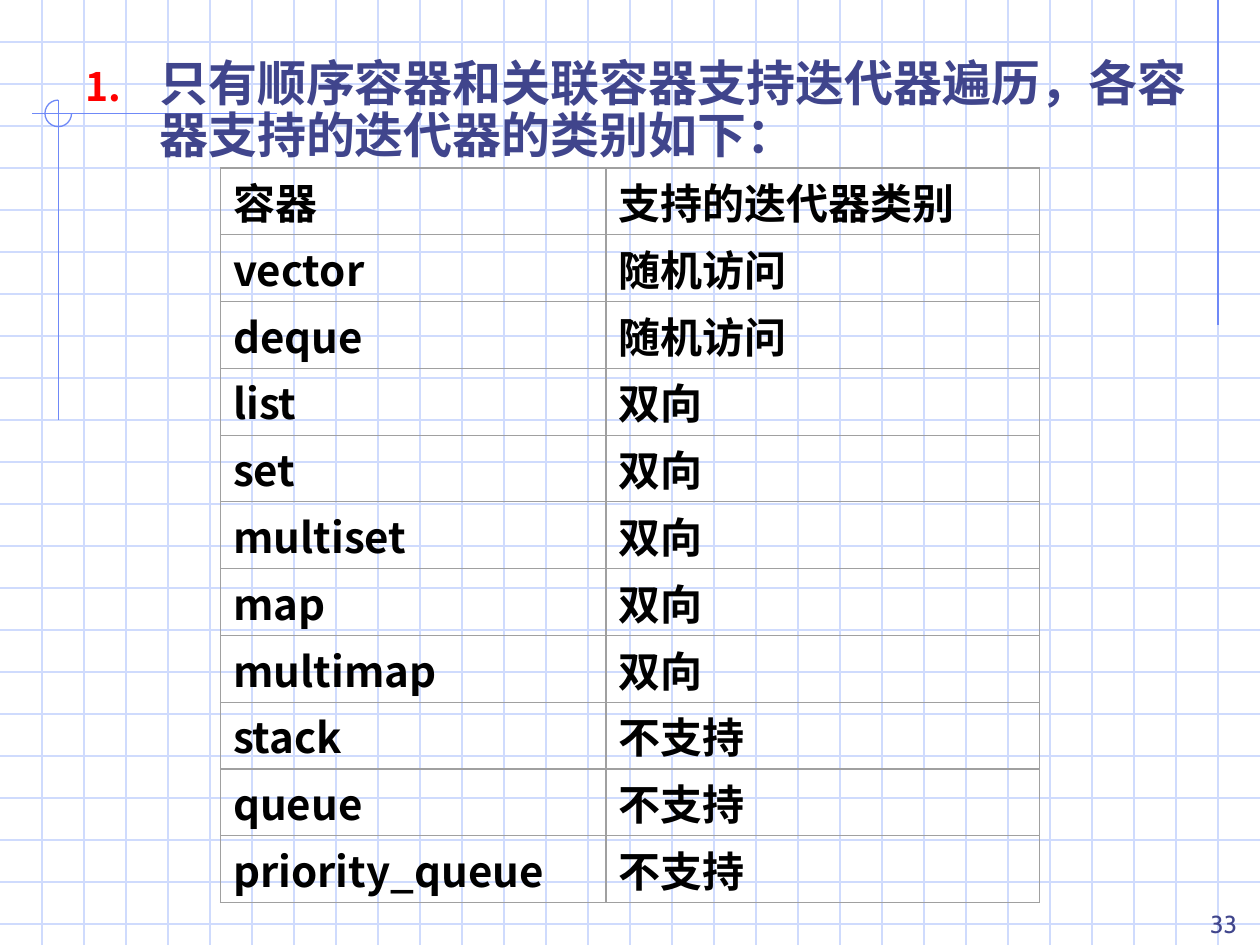
from lxml import etree
from pptx import Presentation
from pptx.dml.color import RGBColor
from pptx.enum.shapes import MSO_CONNECTOR, MSO_SHAPE
from pptx.enum.text import MSO_ANCHOR, MSO_AUTO_SIZE, PP_ALIGN
from pptx.oxml.ns import qn
from pptx.util import Pt

STRAIGHT = MSO_CONNECTOR.STRAIGHT
ARC = MSO_SHAPE.ARC
MIDDLE, BOTTOM = MSO_ANCHOR.MIDDLE, MSO_ANCHOR.BOTTOM
RIGHT, JUSTIFY = PP_ALIGN.RIGHT, PP_ALIGN.JUSTIFY
NO_FIT = MSO_AUTO_SIZE.NONE

WIDTH, HEIGHT, STEP = 720, 540, 24
ROWS = [
    ("容器", "支持的迭代器类别"),
    ("vector", "随机访问"),
    ("deque", "随机访问"),
    ("list", "双向"),
    ("set", "双向"),
    ("multiset", "双向"),
    ("map", "双向"),
    ("multimap", "双向"),
    ("stack", "不支持"),
    ("queue", "不支持"),
    ("priority_queue", "不支持"),
]


def rgb(value):
    return RGBColor.from_string(value)


def child(parent, tag, **attrs):
    return etree.SubElement(parent, qn(tag), attrs)


class Deck:
    font = "Noto Sans CJK SC"
    number_font = "Cabin"
    ink = "40458C"
    black = "000000"
    red = "FF0000"
    grid = "CFDBFD"
    accent = "6F89F7"
    border = "A0A0A0"
    thin = 0.75

    def __init__(self, slide):
        self.s = slide

    def run(self, p, text, size, color, font, bold=True):
        r = p.add_run()
        r.text = text
        r.font.size = Pt(size)
        r.font.bold = bold
        r.font.name = font
        r.font.color.rgb = rgb(color)
        child(r.font._element, "a:ea", typeface=font)

    def line(self, x1, y1, x2, y2, color):
        cx = self.s.shapes.add_connector(STRAIGHT, Pt(x1), Pt(y1), Pt(x2), Pt(y2))
        cx.line.color.rgb = rgb(color)
        cx.line.width = Pt(self.thin)
        child(cx._element.spPr, "a:effectLst")

    def arc(self, x, y, size, start, end):
        sp = self.s.shapes.add_shape(ARC, Pt(x), Pt(y), Pt(size), Pt(size))
        sp.shadow.inherit = False
        sp.fill.background()
        sp.line.color.rgb = rgb(self.accent)
        sp.line.width = Pt(self.thin)
        sp.adjustments[0] = start * 0.6
        sp.adjustments[1] = end * 0.6

    def numbered_body(self, x, y, w, h, text):
        sp = self.s.placeholders[1]
        self.s.shapes._spTree.append(sp._element)
        sp.left, sp.top, sp.width, sp.height = Pt(x), Pt(y), Pt(w), Pt(h)
        tf = sp.text_frame
        tf.auto_size = NO_FIT
        p = tf.paragraphs[0]
        p.line_spacing = Pt(30)
        p.space_before = Pt(7)
        pPr = p._p.get_or_add_pPr()
        pPr.set("marL", str(Pt(42)))
        pPr.set("indent", str(Pt(-42)))
        child(child(pPr, "a:buClr"), "a:srgbClr", val=self.red)
        child(pPr, "a:buSzPct", val="80000")
        child(pPr, "a:buFontTx")
        child(pPr, "a:buAutoNum", type="arabicPeriod")
        self.run(p, text, 28, self.ink, self.font)

    def cell(self, cell, text):
        cell.margin_top = cell.margin_bottom = 0
        cell.vertical_anchor = MIDDLE
        tcPr = cell._tc.get_or_add_tcPr()
        for side in ("a:lnL", "a:lnR", "a:lnT", "a:lnB"):
            ln = child(tcPr, side, w=str(Pt(self.thin)))
            child(child(ln, "a:solidFill"), "a:srgbClr", val=self.border)
        cell.fill.background()
        p = cell.text_frame.paragraphs[0]
        p.alignment = JUSTIFY
        self.run(p, text, 24, self.black, self.font)

    def table(self, x, y, widths, h, rows):
        frame = self.s.shapes.add_table(
            len(rows), len(widths), Pt(x), Pt(y), Pt(sum(widths)), Pt(h))
        table = frame.table
        table.first_row = table.horz_banding = False
        for column, width in zip(table.columns, widths):
            column.width = Pt(width)
        for row, texts in zip(table.rows, rows):
            row.height = Pt(h / len(rows))
            for cell, text in zip(row.cells, texts):
                self.cell(cell, text)

    def slide_number(self, x, y, w, h, text):
        tf = self.s.shapes.add_textbox(Pt(x), Pt(y), Pt(w), Pt(h)).text_frame
        tf.word_wrap = True
        tf.vertical_anchor = BOTTOM
        p = tf.paragraphs[0]
        p.alignment = RIGHT
        self.run(p, text, 14, self.ink, self.number_font, bold=False)


def main():
    prs = Presentation()
    prs.slide_width, prs.slide_height = Pt(WIDTH), Pt(HEIGHT)
    s = prs.slides.add_slide(prs.slide_layouts[1])
    title = s.shapes.title._element
    title.getparent().remove(title)
    deck = Deck(s)

    for y in range(STEP, HEIGHT, STEP):
        deck.line(0, y, WIDTH, y, deck.grid)
    for x in range(STEP, WIDTH, STEP):
        deck.line(x, 0, x, HEIGHT, deck.grid)

    deck.line(696, 0, 696, 186, deck.accent)
    deck.line(158.4, 64.8, 18, 64.8, deck.accent)
    deck.line(33.3, 57.2, 33.3, 240, deck.accent)
    deck.arc(25.7, 57.2, 15.2, 0, 270)

    deck.numbered_body(41.8, 30, 648, 486,
                       "只有顺序容器和关联容器支持迭代器遍历，各容器支持的迭代器的类别如下：")
    deck.table(126, 96, (220.3, 247.7), 420, ROWS)
    deck.slide_number(666, 504, 48, 36, "33")
    prs.save("out.pptx")


if __name__ == "__main__":
    main()
